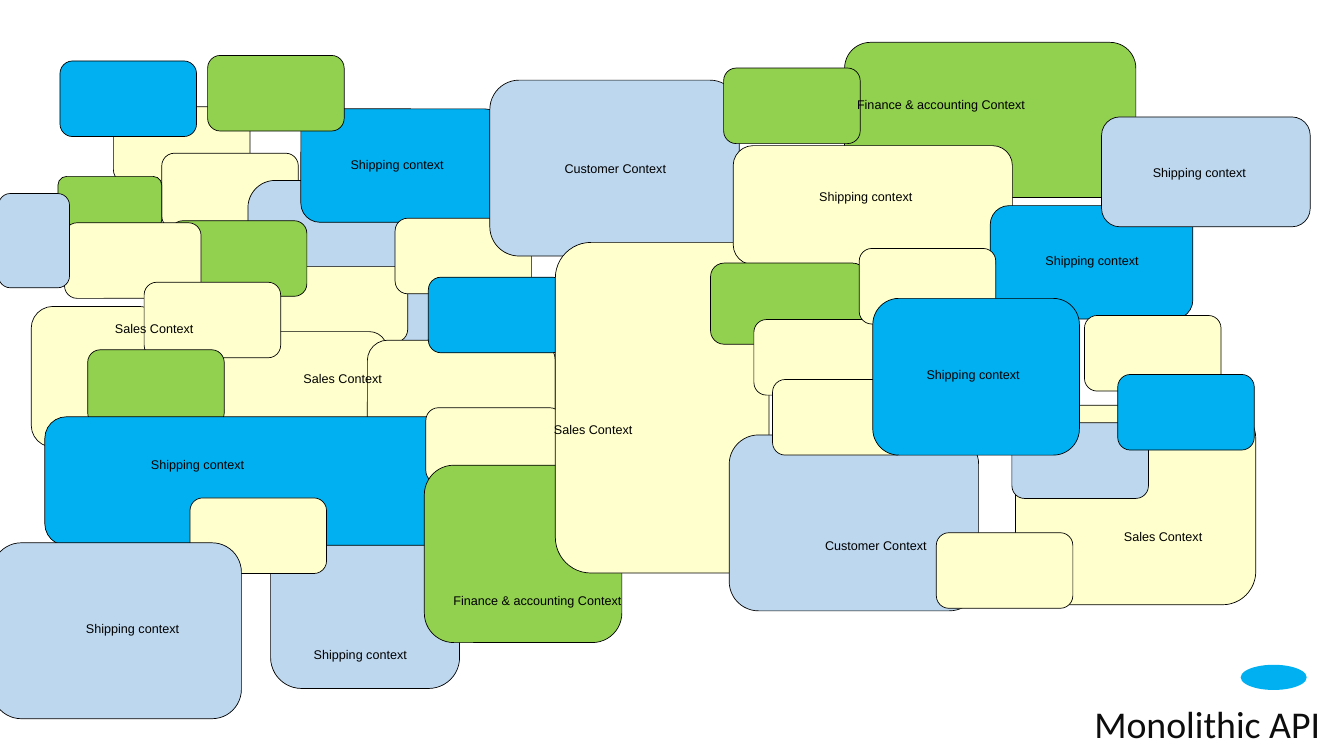
"""Build a slide that shows a monolithic API as a heap of overlapping contexts."""
from pptx import Presentation
from pptx.dml.color import RGBColor
from pptx.enum.shapes import MSO_SHAPE
from pptx.enum.text import MSO_ANCHOR, MSO_AUTO_SIZE, PP_ALIGN
from pptx.util import Inches, Pt

CREAM, GREEN, PALE, BLUE = "FFFFCD", "92D050", "BDD7EE", "00B0F0"
BLACK, INK = "000000", "0D0D0D"
SMALL = (2.71, 1.5)
WIDE = (4.02, 2.25)
LARGE = (4.95, 3.49)

BLOCKS = [
    (CREAM, 2.25, 2.12, SMALL),
    (CREAM, 3.21, 3.04, SMALL),
    (GREEN, 1.15, 3.5, (2.06, 1.04)),
    (PALE, 4.92, 3.58, (3.83, 3.25)),
    (BLUE, 5.97, 2.16, WIDE),
    (CREAM, 5.38, 5.29, SMALL),
    (CREAM, 4.37, 6.58, (3.31, 2.09)),
    (CREAM, 0.62, 6.08, (2.58, 2.79)),
    (GREEN, 3.38, 4.38, SMALL),
    (CREAM, 1.28, 4.42, SMALL),
    (CREAM, 2.86, 5.6, SMALL),
    (GREEN, 1.74, 6.94, SMALL),
    (CREAM, 7.29, 6.75, (3.73, 2.42)),
    (CREAM, 20.15, 8.04, (4.77, 3.96)),
    (CREAM, 7.84, 4.33, SMALL),
    (PALE, 5.37, 9.98, (3.75, 3.68)),
    (BLUE, 8.5, 5.5, SMALL),
    (BLUE, 0.89, 8.27, (8.06, 2.55)),
    (CREAM, 8.45, 8.09, SMALL),
    (CREAM, 3.77, 9.88, SMALL),
    (GREEN, 8.42, 9.23, (3.92, 3.52)),
    (PALE, 9.72, 1.59, LARGE),
    (BLUE, 1.19, 1.21, SMALL),
    (CREAM, 11.02, 4.81, (4.24, 6.56)),
    (GREEN, 16.76, 0.84, (5.78, 3.08)),
    (PALE, 14.47, 8.63, LARGE),
    (CREAM, 14.55, 2.89, (5.54, 2.36)),
    (GREEN, 14.1, 5.22, (3.09, 1.61)),
    (BLUE, 19.65, 4.08, WIDE),
    (CREAM, 14.96, 6.34, SMALL),
    (CREAM, 15.33, 7.53, SMALL),
    (CREAM, 17.05, 4.93, SMALL),
    (CREAM, 21.52, 6.26, SMALL),
    (PALE, 20.08, 8.39, SMALL),
    (BLUE, 22.18, 7.43, SMALL),
    (GREEN, 14.36, 1.35, SMALL),
    (BLUE, 17.32, 5.92, (4.1, 3.11)),
    (PALE, 21.86, 2.32, (4.14, 2.18)),
    (PALE, -0.03, 3.84, (1.41, 1.87)),
    (GREEN, 4.12, 1.1, SMALL),
    (CREAM, 18.58, 10.57, SMALL),
    (PALE, -0.16, 10.77, LARGE),
]

LABELS = [
    ("Sales Context", (4.32, 0.62),
     [(9.61, 8.22), (20.92, 10.33), (4.64, 7.2), (0.9, 6.21)]),
    ("Customer Context", (4.32, 0.62), [(10.05, 3.04), (15.22, 10.52)]),
    ("Finance & accounting Context", (4.63, 1.12),
     [(8.35, 11.35), (16.36, 1.52)]),
    ("Shipping context", (4.32, 0.62),
     [(1.76, 8.91), (5.72, 2.95), (17.15, 7.12), (19.51, 4.86),
      (0.47, 12.16), (21.64, 3.11), (4.99, 12.67), (15.02, 3.59)]),
]


def color(code):
    return RGBColor.from_string(code)


class Deck:
    def __init__(self):
        self.file = Presentation()
        self.file.slide_width = Inches(26.67)
        self.file.slide_height = Inches(15)
        self.slide = self.file.slides.add_slide(self.file.slide_layouts[5])

    def shape(self, kind, x, y, size, fill, line=None):
        item = self.slide.shapes.add_shape(
            kind, Inches(x), Inches(y), *map(Inches, size))
        item.shadow.inherit = False
        item.fill.solid()
        item.fill.fore_color.rgb = color(fill)
        if line:
            item.line.color.rgb = color(line)
            item.line.width = Pt(1)
        else:
            item.line.fill.background()

    def style(self, box, text, font, size, ink, align):
        frame = box.text_frame
        frame.text = text
        frame.word_wrap = True
        frame.auto_size = MSO_AUTO_SIZE.NONE
        frame.vertical_anchor = MSO_ANCHOR.MIDDLE
        frame.margin_left = frame.margin_right = Inches(0.06)
        frame.margin_top = frame.margin_bottom = Inches(0.06)
        line = frame.paragraphs[0]
        line.alignment = align
        line.font.name = font
        line.font.size = Pt(size)
        line.font.color.rgb = color(ink)

    def label(self, text, x, y, size):
        box = self.slide.shapes.add_textbox(
            Inches(x), Inches(y), *map(Inches, size))
        self.style(box, text, "Arial", 18, BLACK, PP_ALIGN.CENTER)

    def title(self, text, x, y, size):
        box = self.slide.shapes.title
        box.left, box.top = Inches(x), Inches(y)
        box.width, box.height = map(Inches, size)
        self.style(box, text, "Calibri", 54, INK, PP_ALIGN.RIGHT)


def main():
    deck = Deck()
    for fill, x, y, size in BLOCKS:
        deck.shape(MSO_SHAPE.ROUNDED_RECTANGLE, x, y, size, fill, BLACK)
    for text, size, spots in LABELS:
        for x, y in spots:
            deck.label(text, x, y, size)
    deck.title("Monolithic API", 15.03, 13.79, (11.23, 1.12))
    deck.shape(MSO_SHAPE.OVAL, 24.62, 13.19, (1.31, 0.5), BLUE)
    deck.file.save("out.pptx")


if __name__ == "__main__":
    main()
